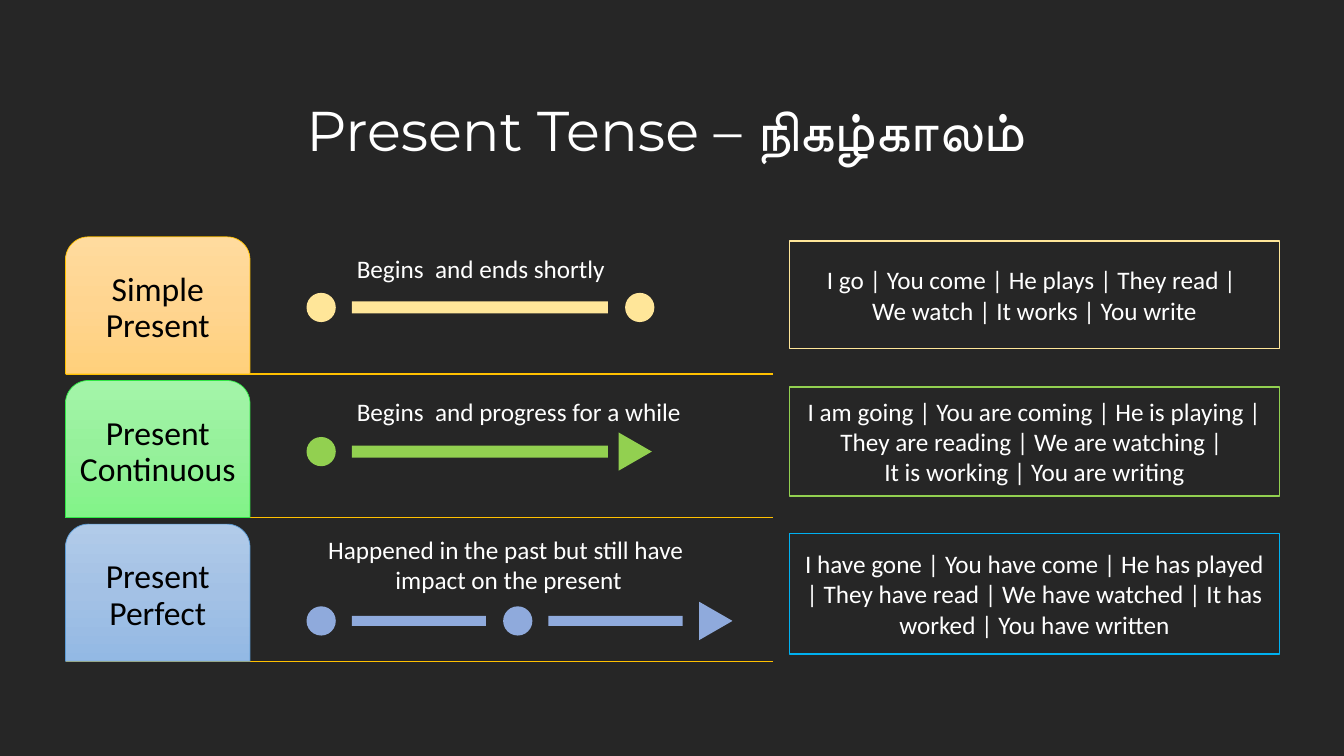
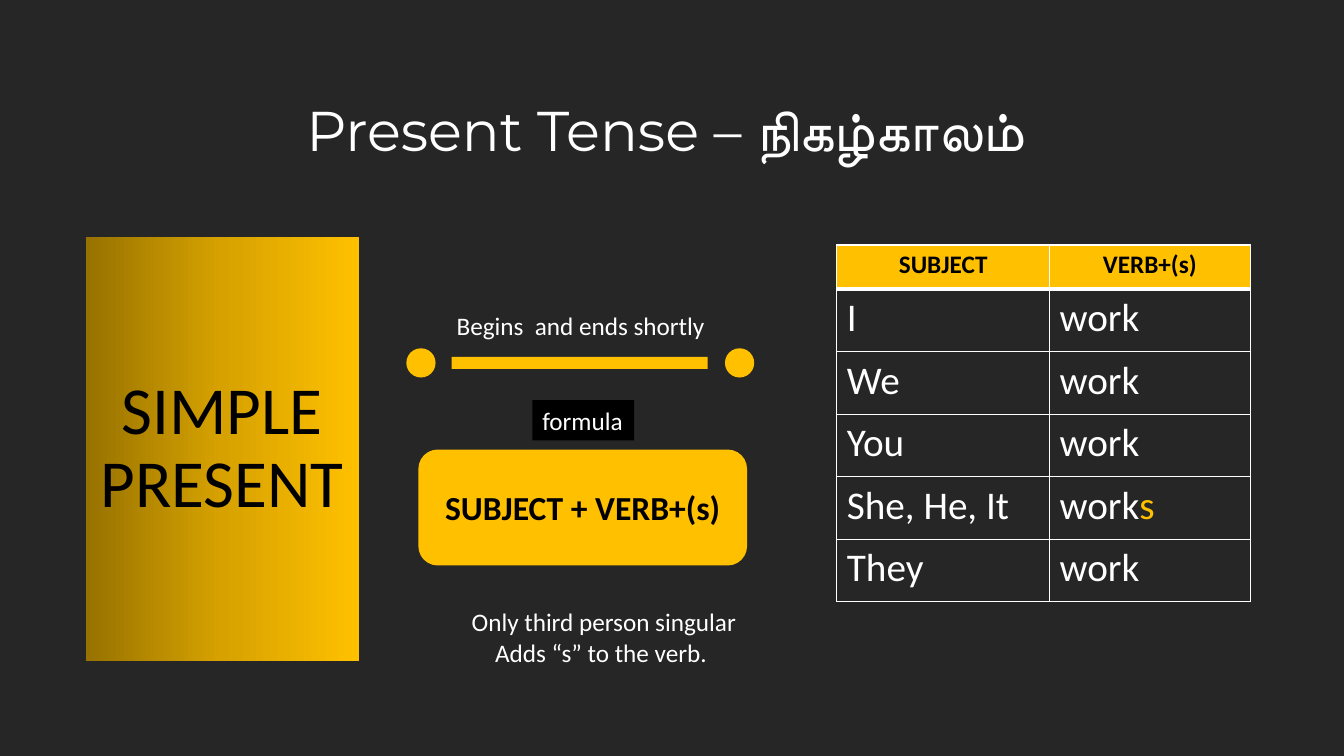
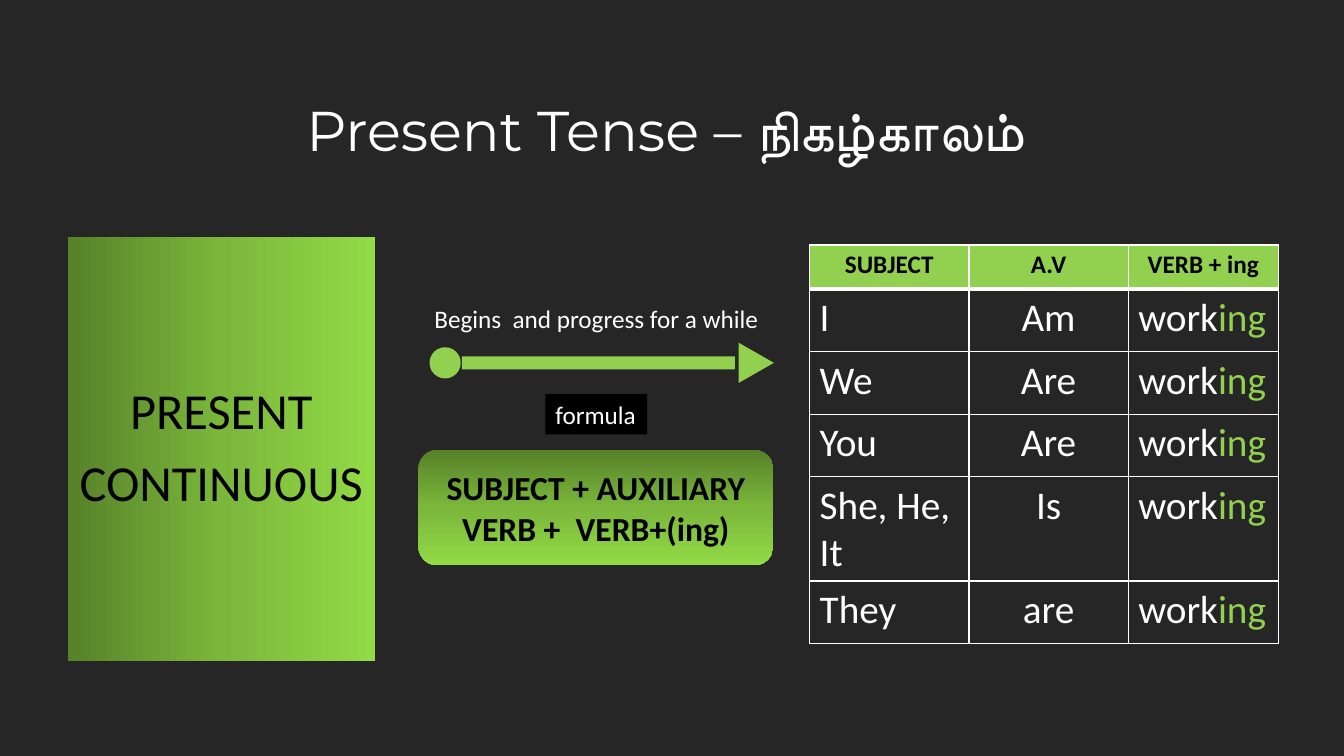
from copy import deepcopy

from lxml.etree import SubElement
from pptx import Presentation
from pptx.dml.color import RGBColor
from pptx.enum.shapes import MSO_CONNECTOR, MSO_SHAPE
from pptx.enum.text import MSO_ANCHOR, MSO_AUTO_SIZE, PP_ALIGN
from pptx.oxml.ns import qn
from pptx.util import Inches, Pt

TITLE = "Present Tense – நிகழ்காலம் "
BACKGROUND, WHITE, BLACK = "262626", "FFFFFF", "000000"
GOLD, GREEN, CREAM, BLUE, SKY = "FFC000", "92D050", "FFE699", "8FAADC", "00B0F0"
GOLD_SHADES = ("977200", "D7A200", "FFC000")
GREEN_SHADES = ("57812A", "7BB73B", "92DA46")
CENTER, LEFT = PP_ALIGN.CENTER, PP_ALIGN.LEFT
DOT, BAR, ARROW = MSO_SHAPE.OVAL, MSO_SHAPE.RECTANGLE, MSO_SHAPE.ISOSCELES_TRIANGLE

ENDS_SHORTLY = "Begins  and ends shortly"
PROGRESSES = "Begins  and progress for a while"
SHORT_TIMELINE = [(DOT, 0, 0.29, 0.29), (BAR, 0.45, 2.54, 0.12), (DOT, 3.16, 0.29, 0.29)]
ONGOING_TIMELINE = [(DOT, 0, 0.29, 0.29), (BAR, 0.45, 2.54, 0.12), (ARROW, 3.07, 0.38, 0.33)]
LARGE_TIMELINE = [(DOT, 0, 0.31, 0.31), (BAR, 0.32, 2.71, 0.13), (ARROW, 3.04, 0.4, 0.35)]
LINKED_TIMELINE = [
    (DOT, 0, 0.29, 0.29), (BAR, 0.45, 1.33, 0.1),
    (DOT, 1.95, 0.29, 0.29), (BAR, 2.4, 1.33, 0.1), (ARROW, 3.87, 0.38, 0.33),
]

TENSES = [
    {
        "name": "Simple Present", "shades": ("FFDB9E", "FFD590", "FFD07C"), "edge": GOLD,
        "timeline": SHORT_TIMELINE, "color": CREAM, "middle": 3.05,
        "caption": [ENDS_SHORTLY], "caption_box": (3.44, 2.46, 2.69, 0.4), "align": LEFT,
        "examples": ["I go | You come | He plays | They read | ",
                     "We watch | It works | You write"],
        "frame": CREAM, "height": 1.07,
    },
    {
        "name": "Present Continuous", "shades": ("A4F4A9", "96F19B", "82F388"), "edge": "30E845",
        "timeline": ONGOING_TIMELINE, "color": GREEN, "middle": 4.48,
        "caption": [PROGRESSES], "caption_box": (3.44, 3.88, 3.45, 0.4), "align": LEFT,
        "examples": ["I am going | You are coming | He is playing | They are reading | "
                     "We are watching | ",
                     "It is working | You are writing"],
        "frame": GREEN, "height": 1.08,
    },
    {
        "name": "Present Perfect", "shades": ("B1CBE9", "A3C1E5", "93B9E4"), "edge": "5B9BD5",
        "timeline": LINKED_TIMELINE, "color": BLUE, "middle": 6.16,
        "caption": ["Happened in the past but still have ", "impact on the present"],
        "caption_box": (3.13, 5.25, 3.83, 0.71), "align": CENTER,
        "examples": ["I have gone | You have come | He has played | They have read | "
                     "We have watched | It has worked | You have written"],
        "frame": SKY, "height": 1.2,
    },
]

LESSONS = [
    {
        "color": GOLD, "name": ["SIMPLE PRESENT"], "name_size": 48, "inset": 0.13,
        "panel": (0.85, 2.35, 2.71, 4.21), "panel_fill": (GOLD_SHADES, 0),
        "timeline": SHORT_TIMELINE, "start": 4.03, "middle": 3.6,
        "captions": [([ENDS_SHORTLY], (4.43, 3.03, 2.69, 0.4), LEFT),
                     (["Only third person singular", "Adds “s” to the verb. "],
                      (4.56, 5.97, 2.86, 0.71), CENTER)],
        "formula": "SUBJECT + VERB+(s)", "formula_box": (4.15, 4.46, 3.26, 1.15),
        "formula_fill": GOLD, "label": (5.28, 3.97, 1.01, 0.4),
        "table_left": 8.3, "columns": (2.11, 1.99), "aligns": (LEFT, LEFT),
        "header": ("SUBJECT", "VERB+(s)"),
        "rows": [("I", "work"), ("We", "work"), ("You", "work"),
                 ("She, He, It", ("work", "s")), ("They", "work")],
    },
    {
        "color": GREEN, "name": ["PRESENT", "CONTINUOUS"], "name_size": 36, "inset": 0.1,
        "panel": (0.67, 2.35, 3.05, 4.21), "panel_fill": (GREEN_SHADES, 0),
        "timeline": LARGE_TIMELINE, "start": 4.26, "middle": 3.6,
        "captions": [([PROGRESSES], (4.21, 2.96, 3.45, 0.4), LEFT)],
        "formula": "SUBJECT + AUXILIARY VERB +  VERB+(ing)",
        "formula_box": (4.15, 4.46, 3.52, 1.15),
        "formula_fill": (GREEN_SHADES, 270), "label": (5.41, 3.91, 1.01, 0.4),
        "table_left": 8.03, "columns": (1.58, 1.58, 1.49), "aligns": (LEFT, CENTER, LEFT),
        "header": ("SUBJECT", "A.V", "VERB + ing"),
        "rows": [(subject, auxiliary, ("work", "ing")) for subject, auxiliary in
                 [("I", "Am"), ("We", "Are"), ("You", "Are"), ("She, He, It", "Is"),
                  ("They", "are")]],
    },
]


def rgb(color):
    return RGBColor.from_string(color)


def set_all(target, values):
    for name, value in values.items():
        setattr(target, name, value)


def write(frame, lines, size=18, color=WHITE, align=CENTER, bold=False, font="Calibri",
          accent=None, spaced=False):
    for index, line in enumerate(lines):
        paragraph = frame.paragraphs[0] if index == 0 else frame.add_paragraph()
        paragraph.alignment = align
        if spaced:
            set_all(paragraph, {"line_spacing": 0.9, "space_after": Pt(size * 0.35)})
        parts = (line,) if isinstance(line, str) else line
        for text, run_color in zip(parts, (color, accent)):
            run = paragraph.add_run()
            run.text = text
            set_all(run.font, {"name": font, "size": Pt(size), "bold": bold})
            run.font.color.rgb = rgb(run_color)


def paint(shape, fill):
    if fill is None:
        shape.fill.background()
    elif isinstance(fill, str):
        shape.fill.solid()
        shape.fill.fore_color.rgb = rgb(fill)
    else:
        shades, angle = fill
        shape.fill.gradient()
        shape.fill.gradient_angle = angle
        stop_list = next(shape._element.iter(qn("a:gsLst")))
        stop_list.insert(1, deepcopy(stop_list[0]))
        for index, (stop, shade) in enumerate(zip(shape.fill.gradient_stops, shades)):
            stop.color.rgb = rgb(shade)
            stop.position = index / 2


def add_box(slide, kind, box, fill=None, edge=None, width=1):
    shape = slide.shapes.add_shape(kind, *map(Inches, box))
    shape.shadow.inherit = False
    paint(shape, fill)
    if edge:
        shape.line.color.rgb = rgb(edge)
        shape.line.width = Pt(width)
    else:
        shape.line.fill.background()
    set_all(shape.text_frame, {"word_wrap": True, "vertical_anchor": MSO_ANCHOR.MIDDLE})
    return shape


def set_insets(frame, inset):
    sides = ("left", "top", "right", "bottom")
    set_all(frame, {f"margin_{side}": Inches(inset) for side in sides})


def add_text(slide, lines, box, wrap=False, fill=None, **style):
    shape = slide.shapes.add_textbox(*map(Inches, box))
    paint(shape, fill)
    set_all(shape.text_frame, {"word_wrap": wrap, "auto_size": MSO_AUTO_SIZE.SHAPE_TO_FIT_TEXT})
    write(shape.text_frame, lines, **style)


def add_timeline(slide, parts, start, middle, color):
    for kind, offset, width, height in parts:
        shape = add_box(slide, kind, (start + offset, middle - height / 2, width, height), color)
        if kind == ARROW:
            shape.rotation = 90


def add_rule(slide, left, right, y):
    rule = slide.shapes.add_connector(
        MSO_CONNECTOR.STRAIGHT, Inches(left), Inches(y), Inches(right), Inches(y))
    rule.line.color.rgb = rgb(GOLD)
    rule.line.width = Pt(1)
    SubElement(rule._element.spPr, qn("a:effectLst"))


def set_borders(cell, widths):
    properties = cell._tc.get_or_add_tcPr()
    for side, width in zip("LRTB", widths):
        line = SubElement(properties, qn(f"a:ln{side}"), w=str(Pt(width)))
        SubElement(SubElement(line, qn("a:solidFill")), qn("a:srgbClr"), val=WHITE)


def add_verb_table(slide, lesson):
    rows = [lesson["header"], *lesson["rows"]]
    heights = [0.44] + [0.62] * len(lesson["rows"])
    box = (lesson["table_left"], 2.43, sum(lesson["columns"]), sum(heights))
    table = slide.shapes.add_table(len(rows), len(lesson["columns"]), *map(Inches, box)).table
    for column, width in zip(table.columns, lesson["columns"]):
        column.width = Inches(width)
    for row_index, (values, height) in enumerate(zip(rows, heights)):
        table.rows[row_index].height = Inches(height)
        is_header = row_index == 0
        for column_index, value in enumerate(values):
            cell = table.cell(row_index, column_index)
            set_borders(cell, (1, 1, 3 if row_index == 1 else 1, 3 if is_header else 1))
            paint(cell, lesson["color"] if is_header else None)
            if is_header:
                write(cell.text_frame, [value], color=BLACK, bold=True)
            else:
                write(cell.text_frame, [value], size=28, accent=lesson["color"],
                      align=lesson["aligns"][column_index])


def add_slide(presentation):
    slide = presentation.slides.add_slide(presentation.slide_layouts[6])
    add_text(slide, [TITLE], (2.09, 0.9, 9.15, 0.77), wrap=True, size=40, font="Montserrat")
    return slide


def build_overview(presentation):
    slide = add_slide(presentation)
    for index, tense in enumerate(TENSES):
        top = 2.35 + 1.425 * index
        add_rule(slide, 0.65, 7.67, top + 1.36)
        tab = add_box(slide, MSO_SHAPE.ROUND_2_SAME_RECTANGLE, (0.65, top, 1.83, 1.36),
                      (tense["shades"], 270), tense["edge"], 0.5)
        set_insets(tab.text_frame, 0.05)
        write(tab.text_frame, [tense["name"]], size=24, color=BLACK, spaced=True)
        add_timeline(slide, tense["timeline"], 3.04, tense["middle"], tense["color"])
        add_text(slide, tense["caption"], tense["caption_box"], align=tense["align"])
        examples = add_box(slide, MSO_SHAPE.RECTANGLE,
                           (7.83, 2.39 + 1.45 * index, 4.86, tense["height"]),
                           edge=tense["frame"])
        write(examples.text_frame, tense["examples"])


def build_lesson(presentation, lesson):
    slide = add_slide(presentation)
    panel = add_box(slide, MSO_SHAPE.RECTANGLE, lesson["panel"], lesson["panel_fill"])
    set_insets(panel.text_frame, lesson["inset"])
    write(panel.text_frame, lesson["name"], size=lesson["name_size"], color=BLACK, spaced=True)
    add_timeline(slide, lesson["timeline"], lesson["start"], lesson["middle"], lesson["color"])
    for lines, box, align in lesson["captions"]:
        add_text(slide, lines, box, align=align)
    formula = add_box(slide, MSO_SHAPE.ROUNDED_RECTANGLE, lesson["formula_box"],
                      lesson["formula_fill"])
    write(formula.text_frame, [lesson["formula"]], size=24, color=BLACK, bold=True)
    add_verb_table(slide, lesson)
    add_text(slide, ["formula"], lesson["label"], fill=BLACK, align=LEFT)


def main():
    presentation = Presentation()
    set_all(presentation, {"slide_width": Inches(13.33), "slide_height": Inches(7.5)})
    paint(presentation.slide_master.background, BACKGROUND)
    build_overview(presentation)
    for lesson in LESSONS:
        build_lesson(presentation, lesson)
    presentation.save("out.pptx")


if __name__ == "__main__":
    main()
